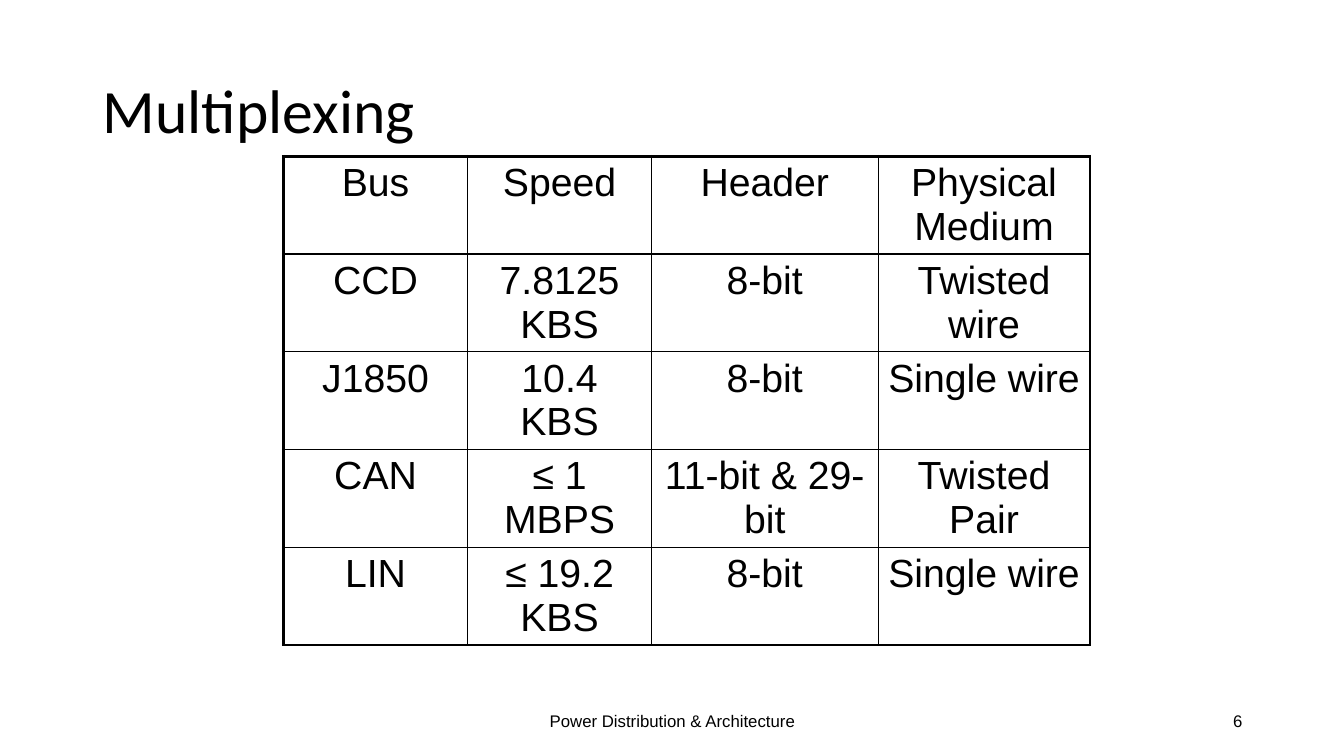
from dataclasses import dataclass

from lxml import etree
from pptx import Presentation
from pptx.dml.color import RGBColor
from pptx.enum import text
from pptx.oxml import ns
from pptx.util import Inches, Pt


@dataclass(frozen=True)
class Theme:
    ink: RGBColor = RGBColor(0, 0, 0)
    head_font: str = "Calibri"
    body_font: str = "Arial"
    title_size: int = 44
    table_size: int = 28
    footer_size: int = 12
    outer_line: float = 2.25
    inner_line: float = 1


theme = Theme()
ALIGN = text.PP_ALIGN


def write(tf, words, size, font=theme.body_font, align=ALIGN.CENTER, spacing=None):
    """Put one formatted paragraph in a text frame."""
    tf.word_wrap = True
    p = tf.paragraphs[0]
    p.alignment = align
    p.line_spacing = spacing
    r = p.add_run()
    r.text = words
    r.font.size = Pt(size)
    r.font.name = font
    r.font.color.rgb = theme.ink


def add_border(cell, side, width):
    """Draw one edge of a table cell."""
    ln = etree.SubElement(cell._tc.get_or_add_tcPr(), ns.qn(f"a:ln{side}"), w=str(Pt(width)))
    fill = etree.SubElement(ln, ns.qn("a:solidFill"))
    etree.SubElement(fill, ns.qn("a:srgbClr"), val=str(theme.ink))


prs = Presentation()
prs.slide_width, prs.slide_height = Inches(13.33), Inches(7.5)
s = prs.slides.add_slide(prs.slide_layouts[5])

# Title
title = s.shapes.title
title.left, title.top = Inches(0.92), Inches(0.4)
title.width, title.height = Inches(11.5), Inches(1.45)
tf = title.text_frame
tf.auto_size = text.MSO_AUTO_SIZE.NONE
tf.vertical_anchor = text.MSO_ANCHOR.MIDDLE
write(tf, "Multiplexing", theme.title_size, font=theme.head_font, align=ALIGN.LEFT, spacing=0.9)

# Bus comparison table
buses = [
    ("Bus", "Speed", "Header", "Physical Medium"),
    ("CCD", "7.8125 KBS", "8-bit", "Twisted wire"),
    ("J1850", "10.4 KBS", "8-bit", "Single wire"),
    ("CAN", "≤ 1 MBPS", "11-bit & 29-bit", "Twisted Pair"),
    ("LIN", "≤ 19.2 KBS", "8-bit", "Single wire"),
]
col_widths = [1.83, 1.82, 2.25, 2.1]
row_height = 0.97
last_row, last_col = len(buses) - 1, len(col_widths) - 1

table = s.shapes.add_table(
    len(buses), len(col_widths), Inches(2.81), Inches(1.55),
    Inches(sum(col_widths)), Inches(row_height * len(buses)),
).table
table.first_row = table.horz_banding = False
for col, width in zip(table.columns, col_widths):
    col.width = Inches(width)

for i, bus in enumerate(buses):
    for j, words in enumerate(bus):
        cell = table.cell(i, j)
        write(cell.text_frame, words, theme.table_size)
        outer = {"L": j == 0, "R": j == last_col, "T": i == 0, "B": i == last_row}
        for side, is_outer in outer.items():
            add_border(cell, side, theme.outer_line if is_outer else theme.inner_line)
        cell.fill.background()

# Footer and slide number
for words, left, width, align in [
    ("Power Distribution & Architecture", 4.42, 4.5, ALIGN.CENTER),
    ("6", 9.42, 3, ALIGN.RIGHT),
]:
    sp = s.shapes.add_textbox(Inches(left), Inches(6.95), Inches(width), Inches(0.4))
    sp.text_frame.vertical_anchor = text.MSO_ANCHOR.MIDDLE
    write(sp.text_frame, words, theme.footer_size, align=align)

prs.save("out.pptx")
